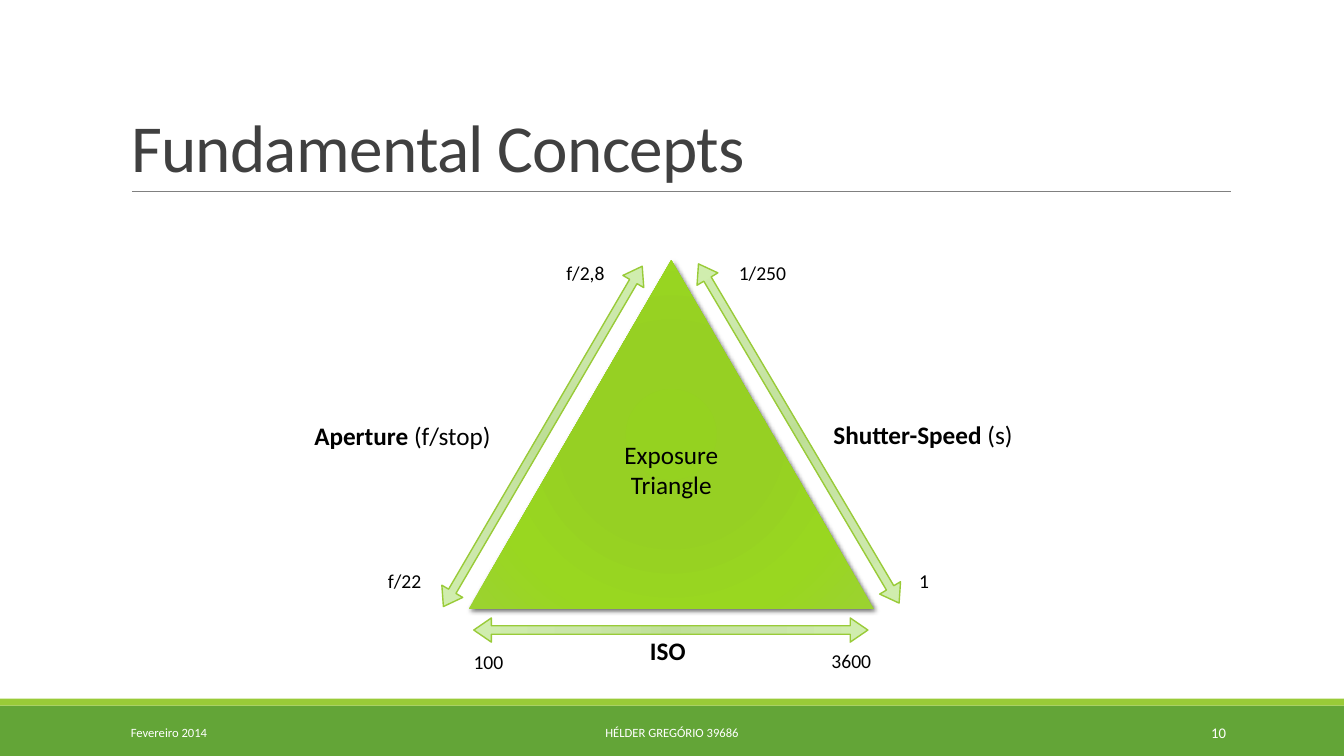
import pptx
import pptx.util
import pptx.oxml
import pptx.dml.color
import pptx.enum.shapes
import pptx.enum.text
from dataclasses import dataclass

Pt = pptx.util.Pt
RGB = pptx.dml.color.RGBColor.from_string
Shapes = pptx.enum.shapes.MSO_SHAPE
Align = pptx.enum.text.PP_ALIGN
Anchor = pptx.enum.text.MSO_ANCHOR
AutoSize = pptx.enum.text.MSO_AUTO_SIZE
NAMESPACE = 'xmlns:a="http://schemas.openxmlformats.org/drawingml/2006/main"'


@dataclass(frozen=True)
class Theme:
    font: str = "Calibri"
    dark_green: str = "63A537"
    green: str = "99CB38"
    rule: str = "808080"
    heading: str = "404040"
    text: str = "000000"
    light: str = "FFFFFF"
    triangle: tuple = ((0, "95D220"), (34, "96D023"), (70, "99D720"), (100, "9BD231"))
    arrow: tuple = ((0, "BEDF97"), (45, "CAE6A9"), (100, "D0EDAE"))
    title_size: float = 48
    label_size: float = 18
    value_size: float = 14
    number_size: float = 10.5
    footer_size: float = 9


theme = Theme()


def write(paragraph, text, size, color, bold=False):
    run = paragraph.add_run()
    run.text = text
    values = {"name": theme.font, "size": Pt(size), "bold": bold}
    for name, value in values.items():
        setattr(run.font, name, value)
    run.font.color.rgb = RGB(color)
    return run


def fill_radial(shape, stops):
    shape.fill.background()
    properties = shape._element.spPr
    stop_xml = "".join(
        f'<a:gs pos="{position * 1000}"><a:srgbClr val="{color}"/></a:gs>'
        for position, color in stops
    )
    gradient = pptx.oxml.parse_xml(
        f'<a:gradFill {NAMESPACE} rotWithShape="1"><a:gsLst>{stop_xml}</a:gsLst>'
        '<a:path path="circle"><a:fillToRect l="100000" t="100000" r="100000" b="100000"/>'
        "</a:path></a:gradFill>"
    )
    properties.replace(properties.find(pptx.oxml.ns.qn("a:noFill")), gradient)


presentation = pptx.Presentation()
presentation.slide_width = Pt(960)
presentation.slide_height = Pt(540)
slide = presentation.slides.add_slide(presentation.slide_layouts[5])
shapes = slide.shapes

for top, height, color in ((504, 36, theme.dark_green), (499, 5, theme.green)):
    band = shapes.add_shape(Shapes.RECTANGLE, Pt(0), Pt(top), Pt(960), Pt(height))
    band.shadow.inherit = False
    band.fill.solid()
    band.fill.fore_color.rgb = RGB(color)
    band.line.fill.background()

title_rule = shapes.add_connector(
    pptx.enum.shapes.MSO_CONNECTOR.STRAIGHT, Pt(94.3), Pt(136.6), Pt(879), Pt(136.6)
)
title_rule.line.color.rgb = RGB(theme.rule)
title_rule.line.width = Pt(0.5)
title_rule._element.spPr.append(pptx.oxml.parse_xml(f"<a:effectLst {NAMESPACE}/>"))

title = shapes.title
title_box = {"left": Pt(86.4), "top": Pt(22.5), "width": Pt(792), "height": Pt(114.2)}
for name, value in title_box.items():
    setattr(title, name, value)
title_format = {"vertical_anchor": Anchor.BOTTOM, "auto_size": AutoSize.NONE, "word_wrap": True}
for name, value in title_format.items():
    setattr(title.text_frame, name, value)
paragraph = title.text_frame.paragraphs[0]
paragraph.alignment = Align.LEFT
paragraph.line_spacing = 0.85
run = write(paragraph, "Fundamental Concepts", theme.title_size, theme.heading)
run._r.get_or_add_rPr().set("spc", "-50")

footers = (
    ("Fevereiro 2014", 86.4, 194.4, Align.LEFT, theme.footer_size),
    ("HÉLDER GREGÓRIO 39686", 290.3, 379.4, Align.CENTER, theme.footer_size),
    ("10", 779.5, 103.3, Align.RIGHT, theme.number_size),
)
for text, left, width, alignment, size in footers:
    footer = shapes.add_textbox(Pt(left), Pt(508.6), Pt(width), Pt(28.8))
    footer.text_frame.word_wrap = True
    footer.text_frame.vertical_anchor = Anchor.MIDDLE
    paragraph = footer.text_frame.paragraphs[0]
    paragraph.alignment = alignment
    write(paragraph, text, size, theme.light)

triangle = shapes.add_shape(
    Shapes.ISOSCELES_TRIANGLE, Pt(334.8), Pt(185.8), Pt(289.4), Pt(249.1)
)
fill_radial(triangle, theme.triangle)
triangle.line.fill.background()
triangle.shadow.inherit = False
triangle._element.spPr.find(pptx.oxml.ns.qn("a:effectLst")).append(
    pptx.oxml.parse_xml(
        f'<a:outerShdw {NAMESPACE} blurRad="{Pt(3.5)}" dist="{Pt(2)}" dir="2700000" '
        'algn="ctr" rotWithShape="0"><a:srgbClr val="000000"><a:alpha val="60000"/>'
        "</a:srgbClr></a:outerShdw>"
    )
)
frame = triangle.text_frame
frame.vertical_anchor = Anchor.TOP
for index, text in enumerate(("Exposure", "Triangle")):
    paragraph = frame.add_paragraph() if index else frame.paragraphs[0]
    paragraph.alignment = Align.CENTER
    write(paragraph, text, theme.label_size, theme.text)

for left, top, rotation in ((247, 303.1, 300.3), (429.8, 301, 59.4), (338.4, 441.4, 0)):
    arrow = shapes.add_shape(Shapes.LEFT_RIGHT_ARROW, Pt(left), Pt(top), Pt(281.5), Pt(17.3))
    arrow.rotation = rotation
    arrow.adjustments[0] = 0.354
    arrow.adjustments[1] = 0.728
    arrow.shadow.inherit = False
    fill_radial(arrow, theme.arrow)
    arrow.line.color.rgb = RGB(theme.green)
    arrow.line.width = Pt(1)

labels = (
    ("ISO", "", 457.2, 450, 40.3),
    ("Shutter-Speed ", "(s)", 588.2, 295.9, 144.7),
    ("Aperture ", "(f/stop)", 217.4, 296.6, 143.3),
    ("", "3600", 586.8, 460.1, 43.2),
    ("", "100", 331.2, 460.8, 36),
    ("", "1/250", 520.6, 182.9, 49),
    ("", "1", 649.4, 402.5, 21.6),
    ("", "f/2,8", 397.4, 182.9, 42.5),
    ("", "f/22", 270, 402.5, 38.9),
)
for bold_text, plain_text, left, top, width in labels:
    size, height = (theme.label_size, 28.8) if bold_text else (theme.value_size, 24.5)
    label = shapes.add_textbox(Pt(left), Pt(top), Pt(width), Pt(height))
    label.text_frame.word_wrap = False
    label.text_frame.auto_size = AutoSize.SHAPE_TO_FIT_TEXT
    for text, bold in ((bold_text, True), (plain_text, False)):
        if text:
            write(label.text_frame.paragraphs[0], text, size, theme.text, bold)

presentation.save("out.pptx")
